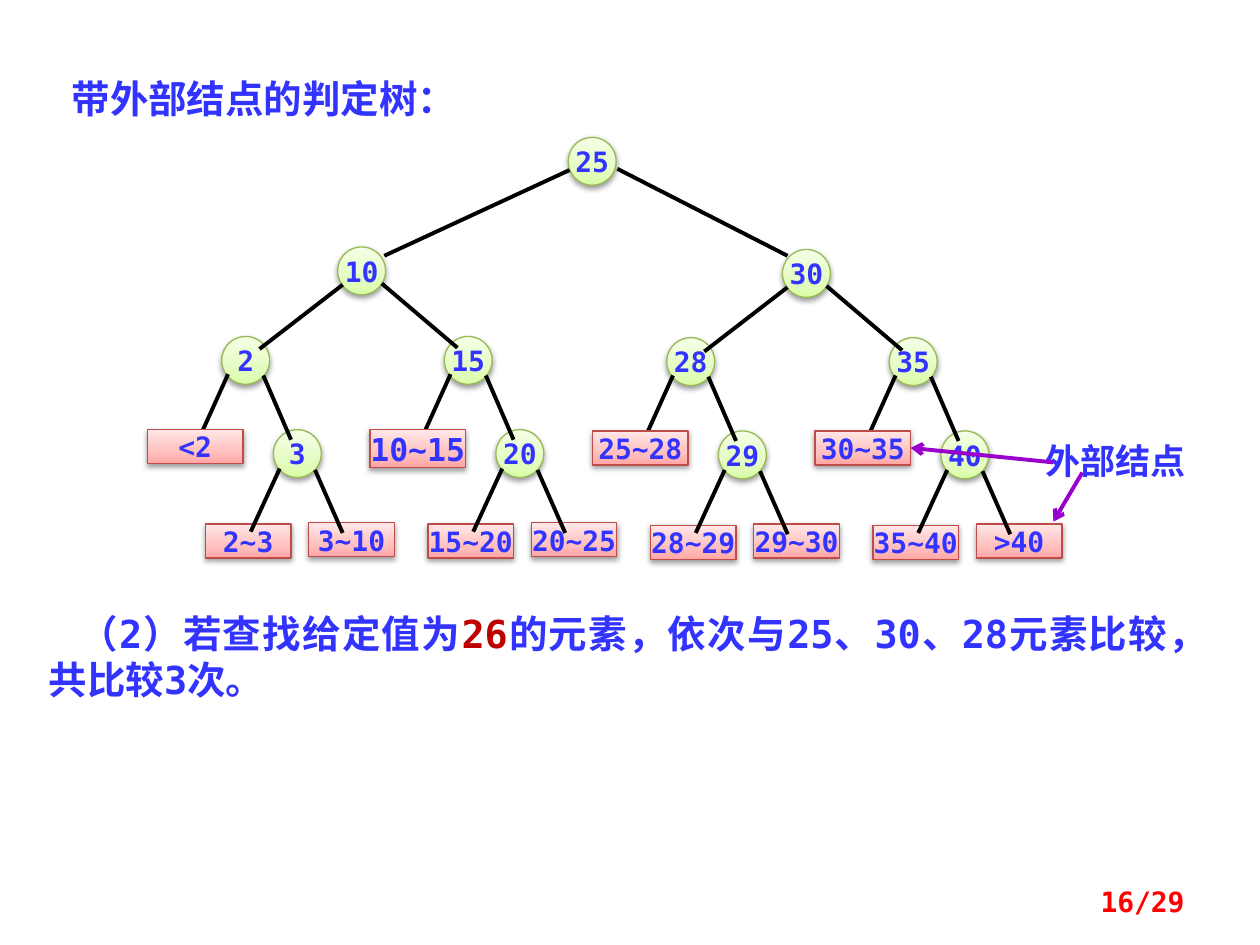
from lxml import etree
from pptx import Presentation
from pptx.dml.color import RGBColor
from pptx.enum.shapes import MSO_CONNECTOR, MSO_SHAPE
from pptx.enum.text import MSO_ANCHOR, PP_ALIGN
from pptx.oxml import parse_xml
from pptx.oxml.ns import nsdecls, qn
from pptx.util import Pt

OVAL, RECT = MSO_SHAPE.OVAL, MSO_SHAPE.RECTANGLE
STRAIGHT = MSO_CONNECTOR.STRAIGHT
TOP, MIDDLE = MSO_ANCHOR.TOP, MSO_ANCHOR.MIDDLE
LEFT, CENTER, RIGHT, JUSTIFY = PP_ALIGN.LEFT, PP_ALIGN.CENTER, PP_ALIGN.RIGHT, PP_ALIGN.JUSTIFY

FONT = "DejaVu Sans Mono"
BLUE = RGBColor(0x33, 0x33, 0xFF)
DARK_RED = RGBColor(0xC0, 0x00, 0x00)
RED = RGBColor(0xFF, 0x00, 0x00)
BLACK = RGBColor(0x00, 0x00, 0x00)
PURPLE = RGBColor(0x99, 0x00, 0xCC)
GREEN_LINE = RGBColor(0x98, 0xB9, 0x55)
PINK_LINE = RGBColor(0xBF, 0x4C, 0x48)
GREENS = [RGBColor(0xDA, 0xFD, 0xA7), RGBColor(0xE4, 0xFC, 0xC2), RGBColor(0xF5, 0xFF, 0xE7)]
PINKS = [RGBColor(0xFF, 0xA6, 0xA5), RGBColor(0xFF, 0xC0, 0xBF), RGBColor(0xFF, 0xE7, 0xE7)]

deck = Presentation()
deck.slide_width, deck.slide_height = Pt(720), Pt(540)
page = deck.slides.add_slide(deck.slide_layouts[6])

# Grid of 10 columns by 7.5 rows
COLUMN = deck.slide_width / 10
ROW = deck.slide_height / 7.5
NODE = 0.38
LEAF_HEIGHT = 0.27


def add_node(kind, x, y, width, height, label, size=16):
    """Draw a round inner node or a rectangular external node."""
    box = page.shapes.add_shape(kind, int(x * COLUMN), int(y * ROW),
                                int(width * COLUMN), int(height * ROW))
    colors, edge_color = (GREENS, GREEN_LINE) if kind == OVAL else (PINKS, PINK_LINE)
    box.line.color.rgb = edge_color
    box.line.width = Pt(0.75)
    stops = "".join(f'<a:gs pos="{share}000"><a:srgbClr val="{color}"/></a:gs>'
                    for share, color in zip((0, 35, 100), colors))
    outline = box.line._get_or_add_ln()
    outline.addprevious(parse_xml(
        f'<a:gradFill {nsdecls("a")} rotWithShape="1"><a:gsLst>{stops}</a:gsLst>'
        '<a:lin ang="16200000" scaled="0"/></a:gradFill>'))
    outline.addnext(parse_xml(
        f'<a:effectLst {nsdecls("a")}><a:outerShdw blurRad="40000" dist="20000" dir="5400000" '
        'rotWithShape="0"><a:srgbClr val="000000"><a:alpha val="38000"/></a:srgbClr>'
        '</a:outerShdw></a:effectLst>'))
    frame = box.text_frame
    frame.margin_left = frame.margin_right = frame.margin_top = frame.margin_bottom = 0
    frame.vertical_anchor = MIDDLE
    frame.word_wrap = kind == RECT
    para = frame.paragraphs[0]
    para.alignment = CENTER
    span = para.add_run()
    span.text = label
    span.font.name, span.font.size, span.font.bold = FONT, Pt(size), True
    span.font.color.rgb = BLUE
    return box


def add_edge(x, y, start, end, color=BLACK):
    """Draw a line between two offsets from the point x, y."""
    edge = page.shapes.add_connector(
        STRAIGHT, int((x + start[0]) * COLUMN), int((y + start[1]) * ROW),
        int((x + end[0]) * COLUMN), int((y + end[1]) * ROW))
    edge.line.color.rgb = color
    edge.line.width = Pt(2.25)
    etree.SubElement(edge._element.spPr, qn("a:effectLst"))
    return edge


# Four lower subtrees: node, left leaf, right child and the child's two leaves
subtrees = [
    ("2", "<2", "3", "2~3", "3~10"),
    ("15", "10~15", "20", "15~20", "20~25"),
    ("28", "25~28", "29", "28~29", "29~30"),
    ("35", "30~35", "40", "35~40", ">40"),
]
for index, (parent, leaf, child, low_left, low_right) in enumerate(subtrees):
    x = 1.76 + 1.766 * index
    y = 2.67 + 0.01 * (index // 2)
    add_node(OVAL, x + 0.41, y + 0.74, NODE, NODE, child)
    add_node(OVAL, x, y, NODE, NODE, parent)
    add_node(RECT, x - 0.13, y + 1.49, 0.68, LEAF_HEIGHT, low_left)
    add_node(RECT, x + 0.69, y + 1.48, 0.68, LEAF_HEIGHT, low_right)
    add_edge(x, y, (0.05, 0.3), (-0.18, 0.81))
    add_edge(x, y, (0.33, 0.31), (0.55, 0.82))
    add_edge(x, y, (0.46, 1.05), (0.23, 1.55))
    add_edge(x, y, (0.74, 1.06), (0.96, 1.56))
    height, size = (0.3, 18) if leaf == "10~15" else (LEAF_HEIGHT, 16)
    last_leaf = add_node(RECT, x - 0.59, y + 0.74, 0.76, height, leaf, size)

# Second level and root
for label, x, y in (("10", 2.68, 1.96), ("30", 6.21, 1.98)):
    add_node(OVAL, x, y, NODE, NODE, label)
    add_edge(x, y, (0.04, 0.3), (-0.62, 0.81))
    add_edge(x, y, (0.35, 0.29), (0.95, 0.8))
add_node(OVAL, 4.51, 1.09, NODE, NODE, "25")
add_edge(4.51, 1.09, (0.01, 0.26), (-1.46, 0.94))
add_edge(4.51, 1.09, (0.39, 0.25), (1.74, 0.94))

# Heading, conclusion, label and page number
texts = [
    (0.47, 0.55, 3.75, 0.47, 22, LEFT, TOP, 0, [("带外部结点的判定树：", BLUE)]),
    (0.29, 4.79, 9.08, 0.84, 22, JUSTIFY, TOP, 0.24,
     [("（2）若查找给定值为", BLUE), ("26", DARK_RED),
      ("的元素，依次与25、30、28元素比较，共比较3次。", BLUE)]),
    (8.2, 3.44, 1.56, 0.44, 20, LEFT, TOP, 0, [("外部结点", BLUE)]),
    (7.17, 6.95, 2.33, 0.4, 16, RIGHT, MIDDLE, 0, [("16/29", RED)]),
]
for x, y, width, height, size, alignment, anchor, indent, spans in texts:
    box = page.shapes.add_textbox(int(x * COLUMN), int(y * ROW),
                                  int(width * COLUMN), int(height * ROW))
    box.text_frame.word_wrap = True
    box.text_frame.vertical_anchor = anchor
    para = box.text_frame.paragraphs[0]
    para.alignment = alignment
    if indent:
        para._p.get_or_add_pPr().set("indent", str(int(indent * COLUMN)))
    for text, color in spans:
        span = para.add_run()
        span.text = text
        span.font.name, span.font.size, span.font.bold = FONT, Pt(size), True
        span.font.color.rgb = color

# Arrows from the label to two external nodes
arrows = [
    add_edge(8.36, 3.67, (0, 0), (-1.14, -0.11), PURPLE),
    add_edge(8.59, 3.75, (0, 0), (-0.23, 0.39), PURPLE),
]
arrows[0].end_connect(last_leaf, 3)
for arrow in arrows:
    etree.SubElement(arrow.line._get_or_add_ln(), qn("a:tailEnd"), type="arrow")

deck.save("out.pptx")
